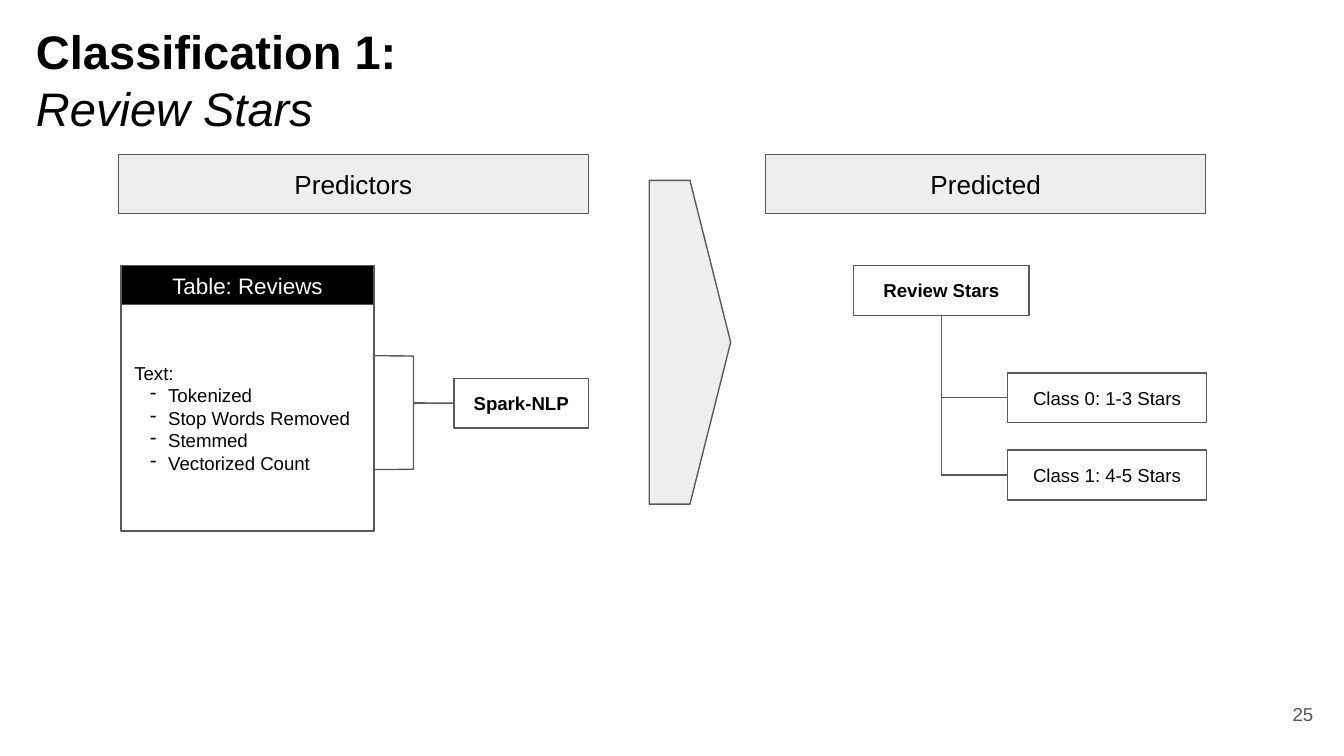
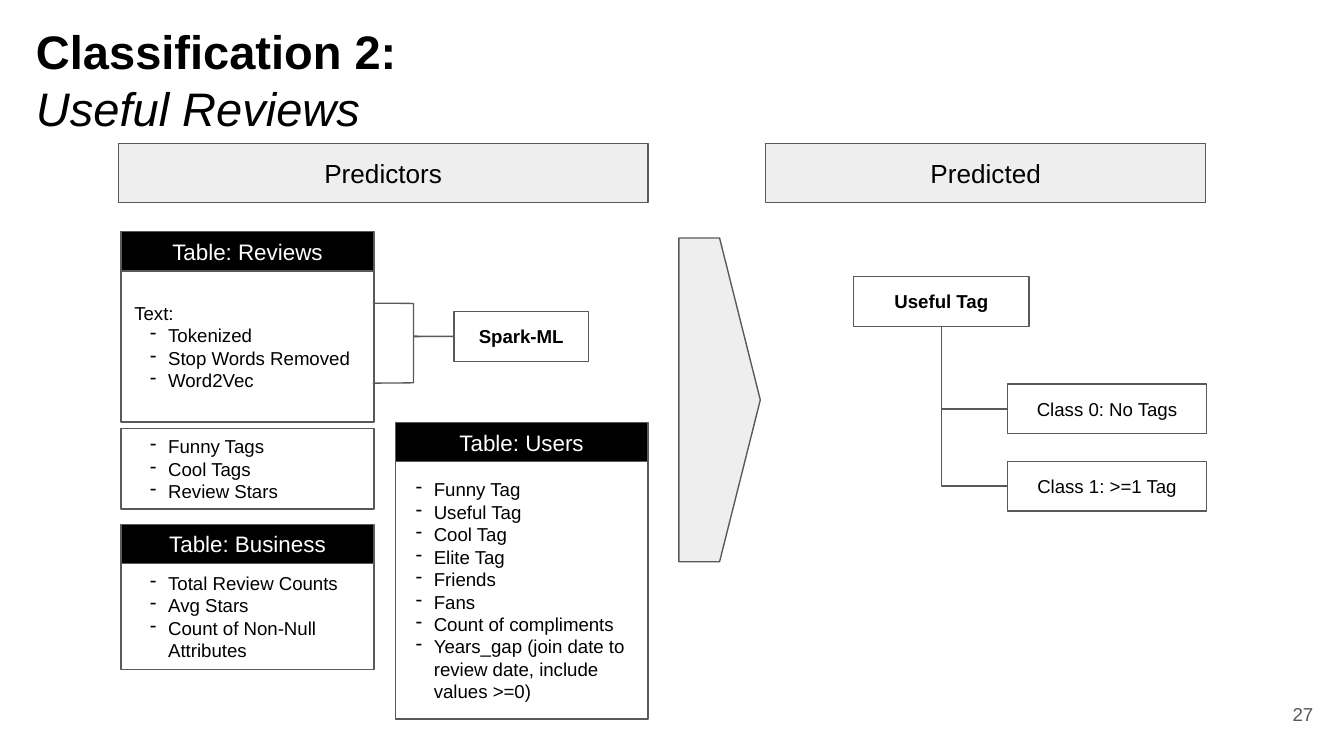
"""Builds two slides that set classification predictors against predicted classes."""
from lxml import etree
from pptx import Presentation
from pptx.dml.color import RGBColor
from pptx.enum.shapes import MSO_CONNECTOR, MSO_SHAPE
from pptx.enum.text import MSO_ANCHOR, MSO_AUTO_SIZE, PP_ALIGN
from pptx.oxml.ns import qn
from pptx.util import Cm, Pt

BLACK = RGBColor(0x00, 0x00, 0x00)
WHITE = RGBColor(0xFF, 0xFF, 0xFF)
PALE = RGBColor(0xEE, 0xEE, 0xEE)
GREY = RGBColor(0x59, 0x59, 0x59)

SLIDES = [
    {
        "number": "25",
        "title": ("Classification 1:", "Review Stars"),
        "band": {"y": 2.92, "w": 8.88},
        "panels": [
            {"header": "Table: Reviews", "x": 2.29, "y": 5.02, "h": 4.28, "lead": "Text:",
             "items": ["Tokenized", "Stop Words Removed", "Stemmed", "Vectorized Count"]},
        ],
        "tool": {"name": "Spark-NLP", "y": 7.15, "brace_h": 2.15},
        "arrow": (12.27, 3.41),
        "target": {"name": "Review Stars", "y": 5.02,
                   "classes": ["Class 0: 1-3 Stars", "Class 1: 4-5 Stars"]},
    },
    {
        "number": "27",
        "title": ("Classification 2:", "Useful Reviews"),
        "band": {"y": 2.71, "w": 10.01},
        "panels": [
            {"header": "Table: Reviews", "x": 2.29, "y": 4.38, "h": 2.86, "lead": "Text:",
             "items": ["Tokenized", "Stop Words Removed", "Word2Vec"]},
            {"x": 2.29, "y": 8.1, "h": 1.52,
             "items": ["Funny Tags", "Cool Tags", "Review Stars"]},
            {"header": "Table: Business", "x": 2.29, "y": 9.91, "h": 2.01,
             "items": ["Total Review Counts", "Avg Stars", "Count of Non-Null Attributes"]},
            {"header": "Table: Users", "x": 7.47, "y": 7.99, "h": 4.86, "indent": 0.48,
             "items": ["Funny Tag", "Useful Tag", "Cool Tag", "Elite Tag", "Friends", "Fans",
                       "Count of compliments",
                       "Years_gap (join date to review date, include values >=0)"]},
        ],
        "tool": {"name": "Spark-ML", "y": 5.89, "brace_h": 1.51},
        "arrow": (12.83, 4.5),
        "target": {"name": "Useful Tag", "y": 5.23,
                   "classes": ["Class 0: No Tags", "Class 1: >=1 Tag"]},
    },
]

BAND_H = 1.12
PANEL_W, HEADER_H = 4.78, 0.74
BOX_H = 0.94
TOOL_X, TOOL_W = 8.58, 2.54
BRACE_W, BRACE_MID = 1.53, 0.416
TARGET_X, TARGET_W = 16.13, 3.32
CLASS_X, CLASS_W, CLASS_DROP, CLASS_STEP = 19.04, 3.76, 2.03, 1.46


def set_frame(tf, anchor=MSO_ANCHOR.MIDDLE):
    frame = {"word_wrap": True, "auto_size": MSO_AUTO_SIZE.NONE, "vertical_anchor": anchor}
    frame.update({f"margin_{side}": Cm(0.25) for side in ("left", "top", "right", "bottom")})
    for name, value in frame.items():
        setattr(tf, name, value)


def add_bullet(p, indent):
    pPr = p._p.get_or_add_pPr()
    pPr.set("marL", str(Cm(indent)))
    pPr.set("indent", str(-Cm(0.34)))
    colour = etree.SubElement(etree.SubElement(pPr, qn("a:buClr")), qn("a:srgbClr"))
    colour.set("val", str(BLACK))
    etree.SubElement(pPr, qn("a:buChar")).set("char", "-")


def write(tf, lines, size=10, color=BLACK, align=PP_ALIGN.CENTER, bold=False, indent=None, lead=0):
    """Writes one paragraph a line, bulleted after the lead lines if an indent is given."""
    for i, text in enumerate(lines):
        p = tf.paragraphs[0] if i == 0 else tf.add_paragraph()
        p.alignment = align
        if indent and i >= lead:
            add_bullet(p, indent)
        r = p.add_run()
        r.text = text
        font = {"name": "Arial", "size": Pt(size), "bold": bold}
        for name, value in font.items():
            setattr(r.font, name, value)
        r.font.color.rgb = color


def add_shape(s, kind, x, y, w, h, fill=None, adjust=()):
    sp = s.shapes.add_shape(kind, Cm(x), Cm(y), Cm(w), Cm(h))
    sp.shadow.inherit = False
    if fill is None:
        sp.fill.background()
    else:
        sp.fill.solid()
        sp.fill.fore_color.rgb = fill
    sp.line.color.rgb = GREY
    sp.line.width = Pt(0.75)
    for i, value in enumerate(adjust):
        sp.adjustments[i] = value
    return sp


def add_box(s, x, y, w, h, lines, fill=None, **text):
    sp = add_shape(s, MSO_SHAPE.RECTANGLE, x, y, w, h, fill)
    set_frame(sp.text_frame)
    write(sp.text_frame, lines, **text)


def add_elbow(s, x1, y1, x2, y2):
    """Draws a line that runs down, then right, as a turned and flipped two-part elbow."""
    mx, my = (x1 + x2) / 2, (y1 + y2) / 2
    dx, dy = (x2 - x1) / 2, (y2 - y1) / 2
    c = s.shapes.add_connector(MSO_CONNECTOR.ELBOW, Cm(mx + dy), Cm(my - dx),
                               Cm(mx - dy), Cm(my + dx))
    spPr = c._element.spPr
    spPr.find(qn("a:xfrm")).set("rot", "16200000")
    spPr.find(qn("a:prstGeom")).set("prst", "bentConnector2")
    c.line.color.rgb = GREY
    c.line.width = Pt(0.75)
    etree.SubElement(spPr, qn("a:effectLst"))


def add_title(s, lines):
    sp = s.shapes.title
    place = {"left": 0.43, "top": 0.18, "width": 19.69, "height": 2.57}
    for name, value in place.items():
        setattr(sp, name, Cm(value))
    tf = sp.text_frame
    set_frame(tf, MSO_ANCHOR.TOP)
    write(tf, lines, size=25.2, align=PP_ALIGN.LEFT)
    tf.paragraphs[0].runs[0].font.bold = True
    tf.paragraphs[1].runs[0].font.italic = True


def add_number(s, number):
    tf = s.shapes.add_textbox(Cm(23.55), Cm(12.95), Cm(1.52), Cm(1.09)).text_frame
    set_frame(tf)
    write(tf, [number], color=GREY, align=PP_ALIGN.RIGHT)


def add_panel(s, panel):
    x, y = panel["x"], panel["y"]
    if "header" in panel:
        add_box(s, x, y, PANEL_W, HEADER_H, [panel["header"]], BLACK, size=12, color=WHITE)
        y += HEADER_H
    lead = [panel["lead"]] if "lead" in panel else []
    add_box(s, x, y, PANEL_W, panel["h"], lead + panel["items"], align=PP_ALIGN.LEFT,
            indent=panel.get("indent", 0.64), lead=len(lead))


def add_tool(s, tool):
    add_box(s, TOOL_X, tool["y"], TOOL_W, BOX_H, [tool["name"]], bold=True)
    h = tool["brace_h"]
    add_shape(s, MSO_SHAPE.RIGHT_BRACE, TOOL_X - BRACE_W, tool["y"] + BOX_H / 2 - BRACE_MID * h,
              BRACE_W, h, adjust=(0.005, BRACE_MID))


def add_target(s, target):
    y = target["y"]
    add_box(s, TARGET_X, y, TARGET_W, BOX_H, [target["name"]], bold=True)
    for i, name in enumerate(target["classes"]):
        top = y + CLASS_DROP + i * CLASS_STEP
        add_box(s, CLASS_X, top, CLASS_W, BOX_H, [name])
        add_elbow(s, TARGET_X + TARGET_W / 2, y + BOX_H, CLASS_X, top + BOX_H / 2)


def build_slide(prs, data):
    s = prs.slides.add_slide(prs.slide_layouts[5])
    add_title(s, data["title"])
    add_number(s, data["number"])
    band = data["band"]
    for name, x, w in (("Predictors", 2.24, band["w"]), ("Predicted", 14.47, 8.32)):
        add_box(s, x, band["y"], w, BAND_H, [name], PALE, size=14)
    for panel in data["panels"]:
        add_panel(s, panel)
    add_tool(s, data["tool"])
    add_shape(s, MSO_SHAPE.PENTAGON, *data["arrow"], 1.54, 6.12, PALE, (0.5,))
    add_target(s, data["target"])


def main():
    prs = Presentation()
    prs.slide_width, prs.slide_height = Cm(25.4), Cm(14.29)
    for data in SLIDES:
        build_slide(prs, data)
    prs.save("out.pptx")


if __name__ == "__main__":
    main()
